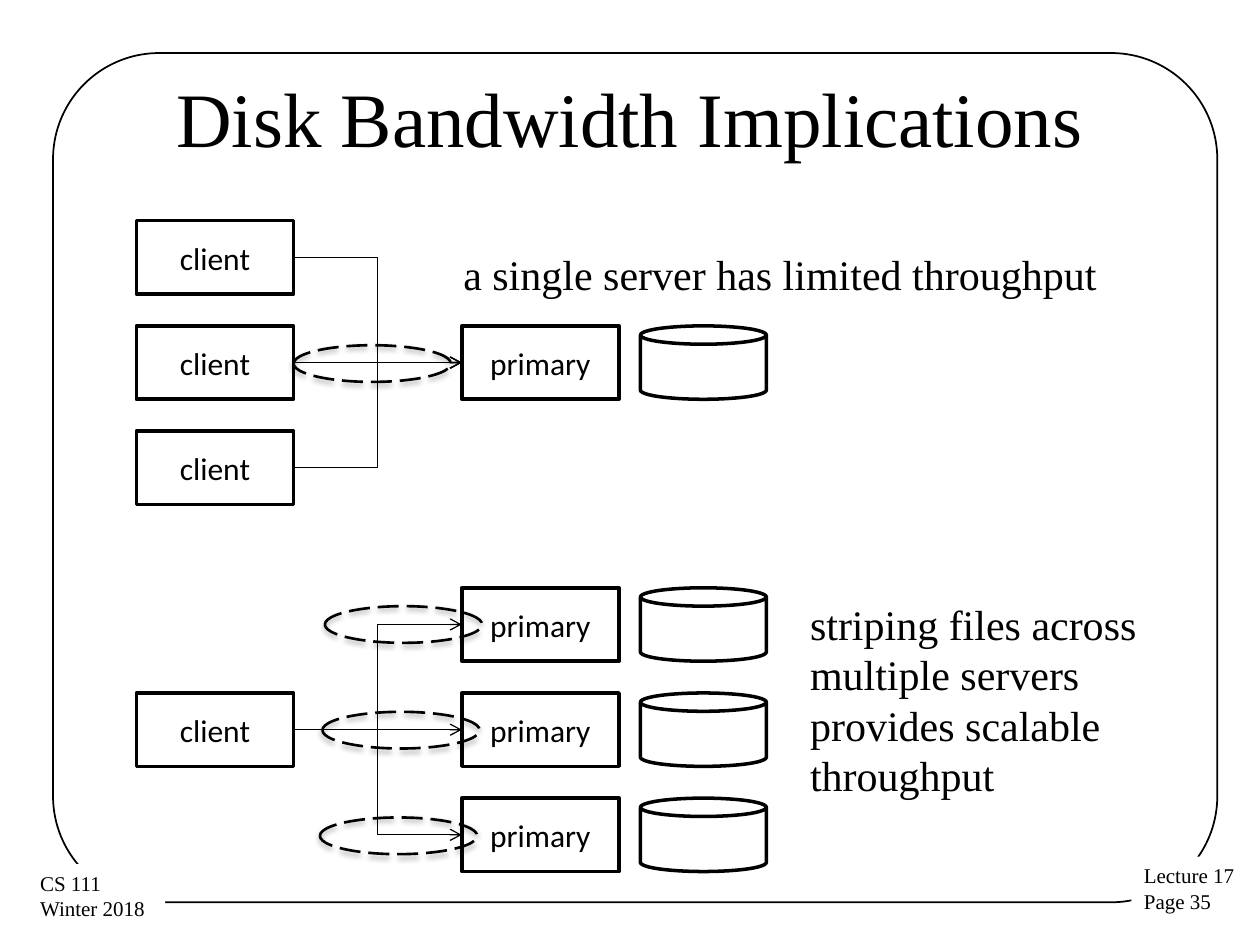
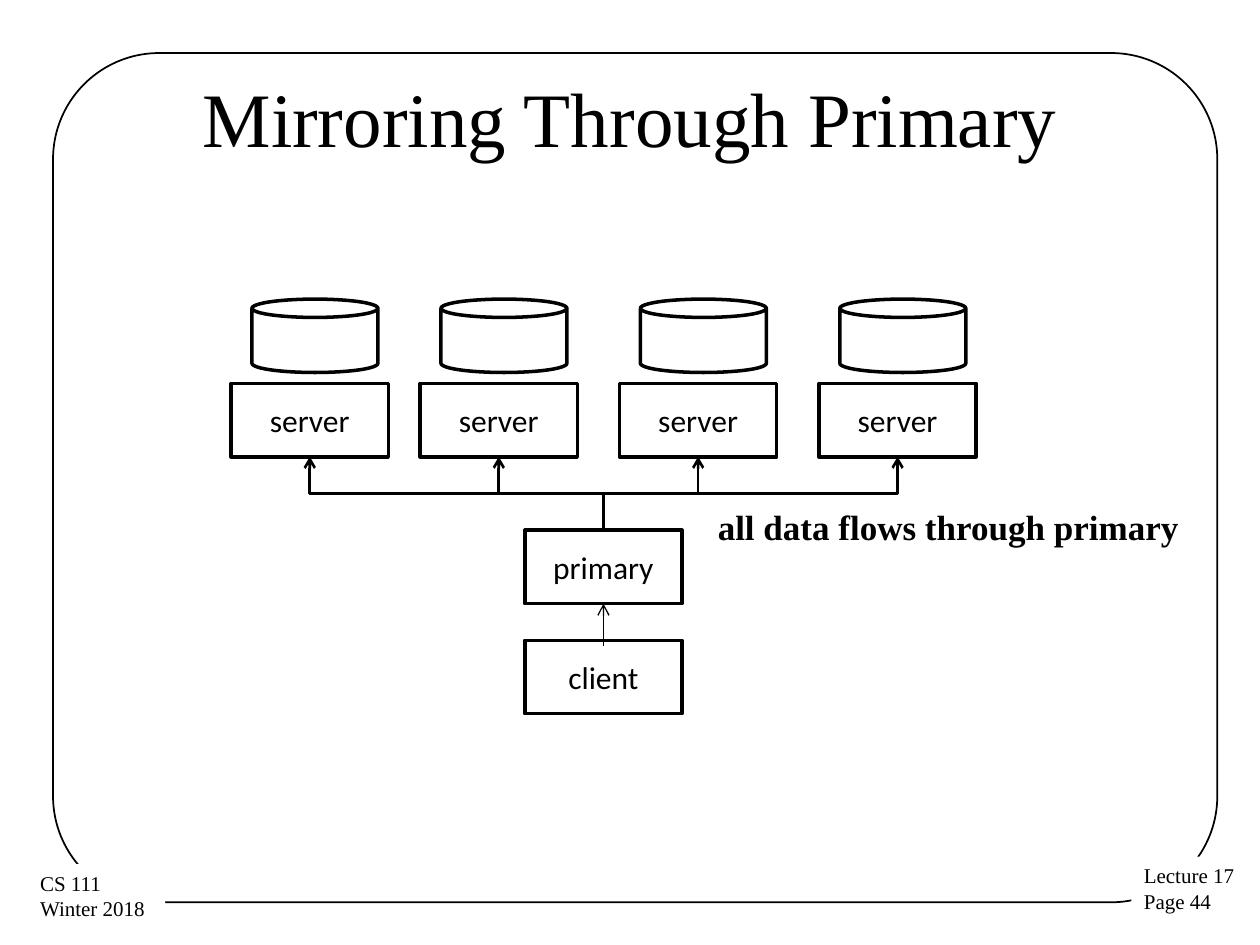
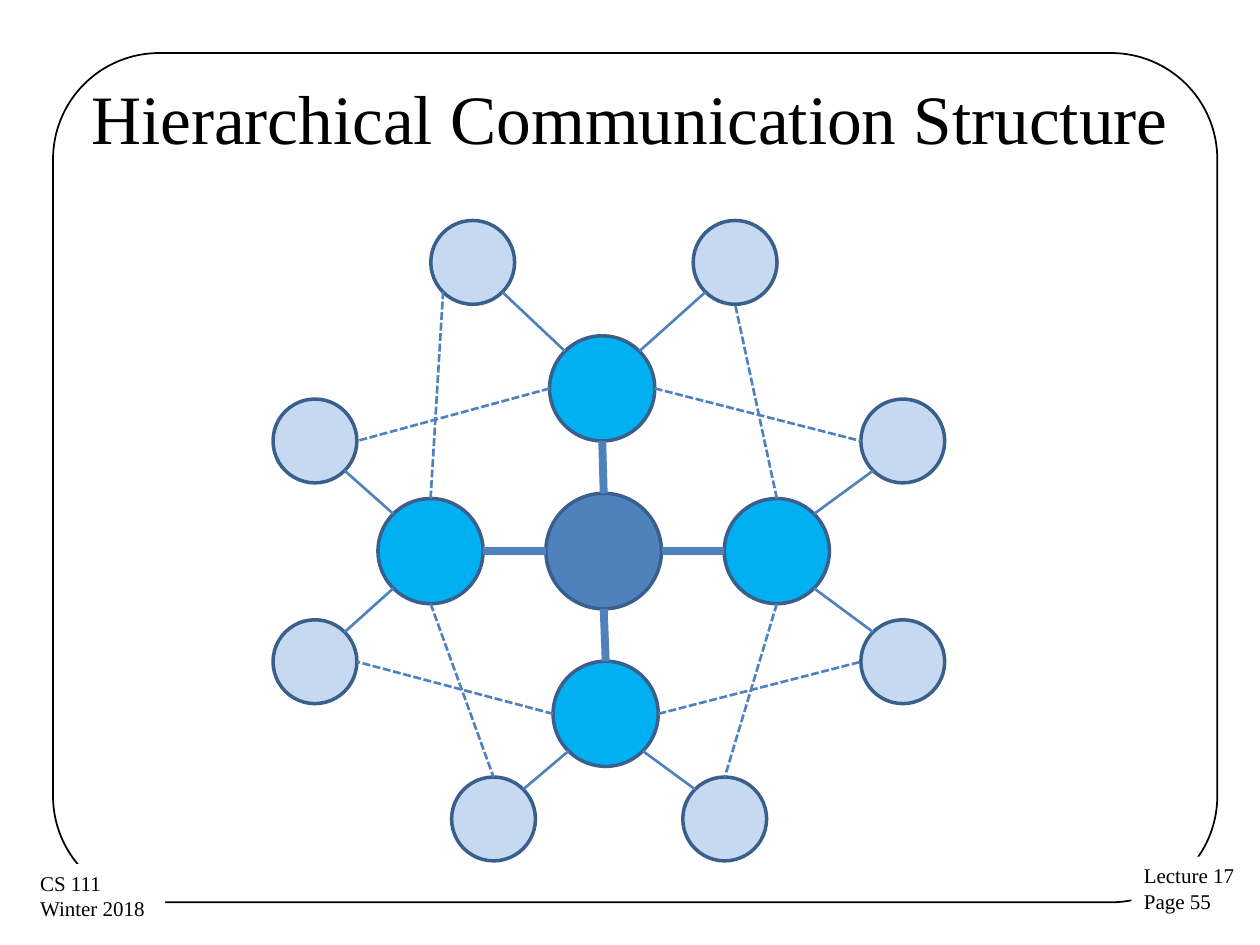
from math import cos, radians, sin

from lxml.etree import SubElement
from pptx import Presentation
from pptx.dml.color import RGBColor
from pptx.enum.dml import MSO_LINE_DASH_STYLE as DASH
from pptx.enum.shapes import MSO_CONNECTOR as CONN, MSO_SHAPE as SHAPE
from pptx.enum.text import MSO_ANCHOR as ANCHOR, MSO_AUTO_SIZE as FIT, PP_ALIGN as ALIGN
from pptx.oxml.ns import qn
from pptx.util import Cm, Pt

BLACK, WHITE = "000000", "FFFFFF"
HUB, SWITCH, LEAF = "4F81BD", "00B0F0", "C6D9F1"
RIM, LINK = "3A5F8C", "4F81BD"
SERIF, SANS = "Times New Roman", "Calibri"

# Lengths in centimetres
BOX_W, BOX_H = 3.17, 1.48
DISK_W = 2.54
ROW_STEP = 2.12
FLOW_W, FLOW_H = 3.17, 0.74

# Compass directions as angles, clockwise from east
E, SE, S, SW, W, NW, N, NE = range(0, 360, 45)


def rgb(color):
    """Turn a hex string into a colour."""
    return RGBColor.from_string(color)


def set_text(tf, lines, font=SERIF, size=24, bold=False, align=ALIGN.LEFT):
    """Write one paragraph per line, all in the same format."""
    formats = {"name": font, "size": Pt(size), "bold": bold}
    for i, line in enumerate(lines):
        p = tf.paragraphs[0] if i == 0 else tf.add_paragraph()
        p.alignment = align
        r = p.add_run()
        r.text = line
        for key, value in formats.items():
            setattr(r.font, key, value)
        r.font.color.rgb = rgb(BLACK)


def set_line(line, color, width, dash=None):
    """Format an outline or a connector line."""
    line.color.rgb = rgb(color)
    line.width = Pt(width)
    if dash:
        line.dash_style = dash


def add_shape(s, kind, x, y, w, h, fill=None, line=BLACK, width=2, dash=None):
    """Add a preset shape without shadow; None means no fill or no line."""
    sp = s.shapes.add_shape(kind, Cm(x), Cm(y), Cm(w), Cm(h))
    sp.shadow.inherit = False
    if fill:
        sp.fill.solid()
        sp.fill.fore_color.rgb = rgb(fill)
    else:
        sp.fill.background()
    if line:
        set_line(sp.line, line, width, dash)
    else:
        sp.line.fill.background()
    return sp


def add_node(s, label, x, y):
    """Add a labelled machine box."""
    tf = add_shape(s, SHAPE.RECTANGLE, x, y, BOX_W, BOX_H).text_frame
    tf.vertical_anchor = ANCHOR.MIDDLE
    set_text(tf, [label], SANS, 18, align=ALIGN.CENTER)


def add_disk(s, x, y):
    """Add a disk cylinder."""
    add_shape(s, SHAPE.CAN, x, y, DISK_W, BOX_H)


def add_flow(s, x, y):
    """Add a dashed ellipse with a soft shadow, marking a data flow."""
    sp = add_shape(s, SHAPE.OVAL, x, y, FLOW_W, FLOW_H, width=1.5, dash=DASH.LONG_DASH)
    effects = sp._element.spPr.find(qn("a:effectLst"))
    shadow = SubElement(effects, qn("a:outerShdw"), blurRad="40000", dist="23000",
                        dir="5400000", rotWithShape="0")
    color = SubElement(shadow, qn("a:srgbClr"), val=BLACK)
    SubElement(color, qn("a:alpha"), val="35000")


def add_note(s, text, x, y, w, h, size=24, bold=False):
    """Add a wrapping text box."""
    tf = s.shapes.add_textbox(Cm(x), Cm(y), Cm(w), Cm(h)).text_frame
    tf.word_wrap = True
    tf.auto_size = FIT.SHAPE_TO_FIT_TEXT
    set_text(tf, [text], size=size, bold=bold)


def add_link(s, start, end, kind=CONN.STRAIGHT, color=BLACK, width=0.75, dash=None,
             arrow=False):
    """Add a connector between two points."""
    c = s.shapes.add_connector(kind, *map(Cm, (*start, *end)))
    set_line(c.line, color, width, dash)
    if arrow:
        SubElement(c.line._get_or_add_ln(), qn("a:tailEnd"), type="arrow")
    SubElement(c._element.spPr, qn("a:effectLst"))
    return c


def add_arrow(s, start, end):
    """Add an arrow that leaves sideways, bent if the heights differ."""
    kind = CONN.STRAIGHT if start[1] == end[1] else CONN.ELBOW
    add_link(s, start, end, kind, arrow=True)


def add_riser(s, start, end):
    """Add a bent arrow that leaves upwards: a sideways elbow, turned."""
    (x1, y1), (x2, y2) = start, end
    cx, cy = (x1 + x2) / 2, (y1 + y2) / 2
    half_w, half_h = (y1 - y2) / 2, abs(x2 - x1) / 2
    turn = 270
    if x2 > x1:
        half_w, turn = -half_w, 90
    c = add_link(s, (cx - half_w, cy + half_h), (cx + half_w, cy - half_h),
                 CONN.ELBOW, width=1.5, arrow=True)
    c._element.spPr.find(qn("a:xfrm")).set("rot", str(turn * 60000))


def add_circle(s, circle, fill):
    """Add a network node, given as centre and diameter."""
    x, y, d = circle
    add_shape(s, SHAPE.OVAL, x - d / 2, y - d / 2, d, d, fill, RIM)


def rim_point(circle, angle):
    """Return the point of a circle's rim in a direction."""
    x, y, d = circle
    return x + d / 2 * cos(radians(angle)), y + d / 2 * sin(radians(angle))


def add_tag(s, lines, x, y, w):
    """Add a white corner tag that covers the frame."""
    sp = add_shape(s, SHAPE.RECTANGLE, x, y, w, 1.3, WHITE, None)
    tf = sp.text_frame
    formats = {"word_wrap": False, "auto_size": FIT.SHAPE_TO_FIT_TEXT,
               "vertical_anchor": ANCHOR.TOP}
    for key, value in formats.items():
        setattr(tf, key, value)
    set_text(tf, lines, size=12)
    return sp


def add_frame(layout, s):
    """Draw the frame and course tag, then move them to the layout."""
    frame = add_shape(s, SHAPE.ROUNDED_RECTANGLE, 1.07, 1.07, 23.47, 17.12, width=1)
    frame.adjustments[0] = 0.125
    course = add_tag(s, ["CS 111", "Winter 2018 "], 0.56, 17.42, 2.77)
    for sp in (frame, course):
        layout.shapes._spTree.append(sp._element)


def add_slide(prs, title, page, size=44):
    """Add a slide with its title and page tag."""
    layout = prs.slide_layouts[5]
    s = prs.slides.add_slide(layout)
    if len(prs.slides) == 1:
        add_frame(layout, s)
    add_tag(s, ["Lecture 17", f"Page {page}"], 22.81, 17.27, 2.36)
    sp = s.shapes.title
    place = {"left": 1.27, "top": 0.76, "width": 22.86, "height": 3.18}
    for key, value in place.items():
        setattr(sp, key, Cm(value))
    sp.text_frame.vertical_anchor = ANCHOR.MIDDLE
    sp.text_frame.auto_size = FIT.NONE
    set_text(sp.text_frame, [title], size=size, align=ALIGN.CENTER)
    return s


def bandwidth_slide(prs):
    """Many clients on one server, then one client on many servers."""
    s = add_slide(prs, "Disk Bandwidth Implications", 35)
    client_x, primary_x, disk_x = 2.75, 9.31, 12.91
    single = [4.45 + i * ROW_STEP for i in range(3)]
    striped = [11.85 + i * ROW_STEP for i in range(3)]
    for clients, primaries in ((single, single[1:2]), (striped[1:2], striped)):
        for y in clients:
            add_node(s, "client", client_x, y)
        for y in primaries:
            add_node(s, "primary", primary_x, y)
            add_disk(s, disk_x, y)
        for y1 in clients:
            for y2 in primaries:
                add_arrow(s, (client_x + BOX_W, y1 + BOX_H / 2),
                          (primary_x, y2 + BOX_H / 2))
    add_note(s, "a single server has limited throughput", 9.09, 4.88, 14.4, 1.27)
    add_note(s, "striping files across multiple servers provides scalable throughput",
             16.08, 11.94, 8.26, 4.37)
    add_flow(s, 5.92, 6.96)
    for i in range(3):
        add_flow(s, 6.55 - i * 0.05, 12.22 + i * 2.13)


def mirroring_slide(prs):
    """A primary passes a client's data to four servers."""
    s = add_slide(prs, "Mirroring Through Primary", 44)
    server_y, primary_x, primary_y, client_y = 7.73, 10.58, 10.69, 12.91
    middle = primary_x + BOX_W / 2
    add_node(s, "primary", primary_x, primary_y)
    for x in (4.66, 8.47, 12.49, 16.51):
        add_node(s, "server", x, server_y)
        add_disk(s, x + 0.42, 6.03)
        add_riser(s, (middle, primary_y), (x + BOX_W / 2, server_y + BOX_H))
    add_link(s, (middle, client_y + 0.11), (middle, primary_y + BOX_H), arrow=True)
    add_note(s, "all data flows through primary", 14.22, 10.06, 11, 1.12, 20, True)
    add_node(s, "client", primary_x, client_y)


def hierarchy_slide(prs):
    """A hub, four switches around it, and two leaves for each switch."""
    s = add_slide(prs, "Hierarchical Communication Structure", 55, 39.6)
    hub = (12.17, 11.11, 2.33)
    switches = {N: (12.14, 7.83), E: (15.66, 11.11), S: (12.21, 14.39), W: (8.68, 11.11)}
    switches = {side: (x, y, 2.12) for side, (x, y) in switches.items()}
    # Each leaf: centre, home switch and direction, backup switch and
    # direction, direction of the backup link at the leaf
    leaves = [
        (9.53, 5.29, N, NW, W, N, SW),
        (14.82, 5.29, N, NE, E, N, S),
        (18.2, 8.89, E, NE, N, E, W),
        (18.2, 13.34, E, SE, S, E, W),
        (14.61, 16.51, S, SE, E, S, N),
        (9.95, 16.51, S, SW, W, S, N),
        (6.35, 13.34, W, SW, S, W, E),
        (6.35, 8.89, W, NW, N, W, E),
    ]
    add_circle(s, hub, HUB)
    for side, switch in switches.items():
        add_circle(s, switch, SWITCH)
        add_link(s, rim_point(hub, side), rim_point(switch, side + 180),
                 color=LINK, width=4.5)
    for x, y, home, home_dir, backup, backup_dir, leaf_dir in leaves:
        leaf = (x, y, 1.69)
        add_circle(s, leaf, LEAF)
        add_link(s, rim_point(switches[home], home_dir), rim_point(leaf, home_dir + 180),
                 color=LINK, width=1.5)
        add_link(s, rim_point(switches[backup], backup_dir), rim_point(leaf, leaf_dir),
                 color=LINK, width=1.5, dash=DASH.SQUARE_DOT)


def main():
    """Build the three slides and save them."""
    prs = Presentation()
    prs.slide_width, prs.slide_height = Cm(25.4), Cm(19.05)
    bandwidth_slide(prs)
    mirroring_slide(prs)
    hierarchy_slide(prs)
    prs.save("out.pptx")


main()
